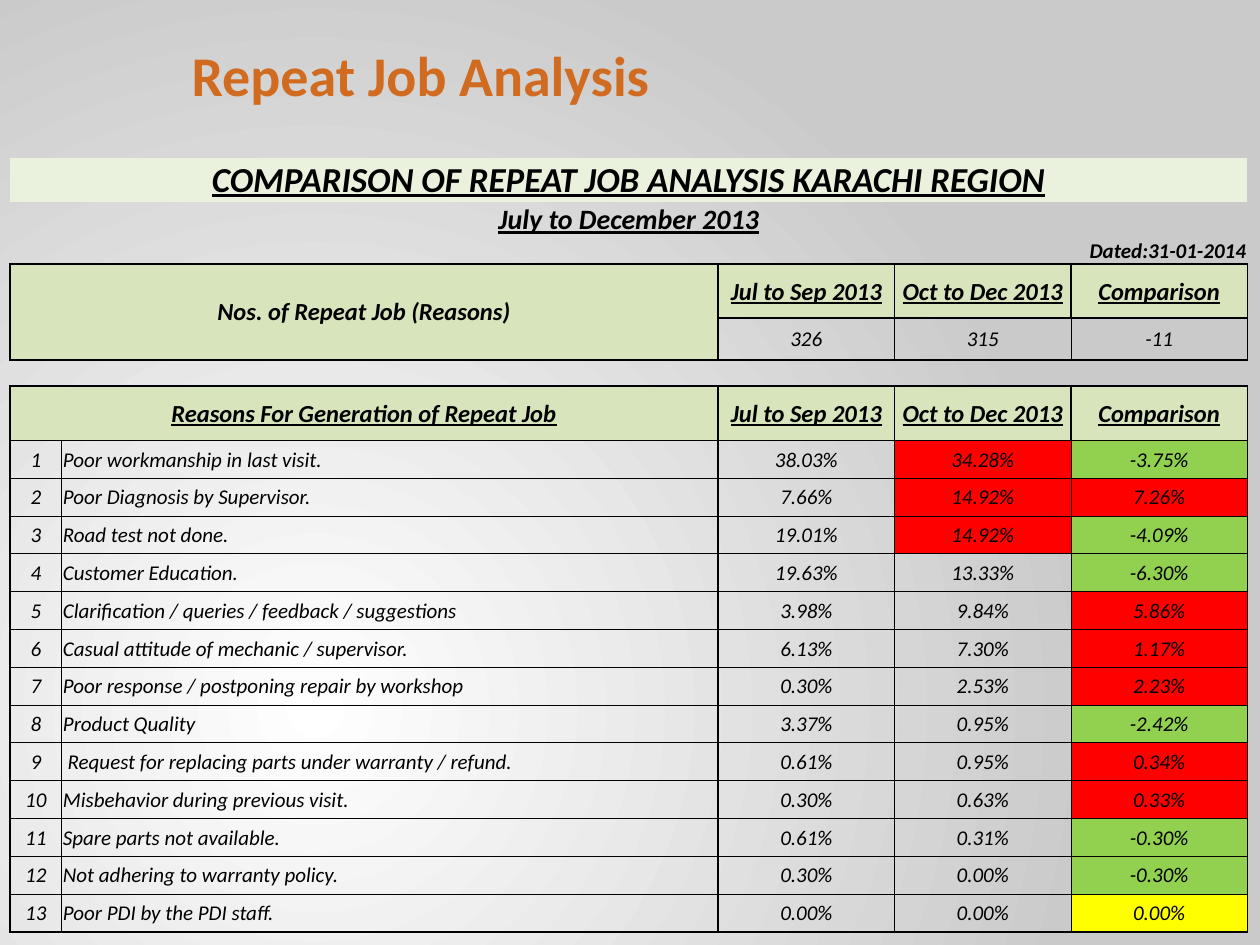
from lxml import etree
from pptx import Presentation
from pptx import util as u
from pptx.dml.color import RGBColor
from pptx.enum import text
from pptx.oxml import parse_xml
from pptx.oxml.ns import nsdecls, qn

COLORS = {
    "title": "D06B20", "ink": "000000", "banner": "EAF1DD", "header": "D7E4BC",
    "worse": "FF0000", "better": "92D050", "same": "FFFF00",
    "glow": "FFFFFF", "edge": "CACACA",
}
FONT = "Calibri"
COLUMNS = [0.41, 5.21, 1.4, 1.4, 1.4]
TOP_ROWS = [0.35, 0.28, 0.21, 0.43, 0.33, 0.21, 0.43]
REASON_HEIGHT = 0.3
PERIODS = ["Jul to Sep 2013", "Oct to Dec 2013", "Comparison"]
TOTALS = ["326", "315", "-11"]
REASONS = [
    ("Poor workmanship in last visit.", "38.03%", "34.28%", "-3.75%"),
    ("Poor Diagnosis by Supervisor.", "7.66%", "14.92%", "7.26%"),
    ("Road test not done.", "19.01%", "14.92%", "-4.09%"),
    ("Customer Education.", "19.63%", "13.33%", "-6.30%"),
    ("Clarification / queries / feedback / suggestions", "3.98%", "9.84%", "5.86%"),
    ("Casual attitude of mechanic / supervisor.", "6.13%", "7.30%", "1.17%"),
    ("Poor response / postponing repair by workshop", "0.30%", "2.53%", "2.23%"),
    ("Product Quality", "3.37%", "0.95%", "-2.42%"),
    (" Request for replacing parts under warranty / refund.", "0.61%", "0.95%", "0.34%"),
    ("Misbehavior during previous visit.", "0.30%", "0.63%", "0.33%"),
    ("Spare parts not available.", "0.61%", "0.31%", "-0.30%"),
    ("Not adhering to warranty policy.", "0.30%", "0.00%", "-0.30%"),
    ("Poor PDI by the PDI staff.", "0.00%", "0.00%", "0.00%"),
]
FIRST_REASON = len(TOP_ROWS)
LAST_ROW = FIRST_REASON + len(REASONS) - 1
TOP_REASONS = 3  # leading causes flagged in the latest period
NO_STYLE = "{2D5ABB26-0587-4C30-8999-92F81FD0307C}"
ALIGN = text.PP_ALIGN


def color(name):
    return RGBColor.from_string(COLORS[name])


def set_background(page):
    page.element.cSld.insert(0, parse_xml(
        f'<p:bg {nsdecls("p", "a")}><p:bgPr><a:gradFill rotWithShape="1"><a:gsLst>'
        f'<a:gs pos="0"><a:srgbClr val="{COLORS["glow"]}"/></a:gs>'
        f'<a:gs pos="100000"><a:srgbClr val="{COLORS["edge"]}"/></a:gs></a:gsLst>'
        '<a:path path="circle"><a:fillToRect l="50000" t="100000" r="100000" b="50000"/>'
        '</a:path></a:gradFill><a:effectLst/></p:bgPr></p:bg>'))


def style_font(font, size, ink="ink", bold=False, italic=False, underline=False):
    font.name, font.size = FONT, u.Pt(size)
    font.bold, font.italic, font.underline = bold, italic, underline
    font.color.rgb = color(ink)


def add_title(page, wording):
    title = page.shapes.title
    title.left, title.top = u.Inches(1.42), u.Inches(0.25)
    title.width, title.height = u.Inches(4.42), u.Inches(0.67)
    frame = title.text_frame
    frame.text = wording
    frame.word_wrap = True
    frame.vertical_anchor = text.MSO_ANCHOR.MIDDLE
    para = frame.paragraphs[0]
    para.alignment = ALIGN.LEFT
    style_font(para.font, 32, "title", bold=True)


def add_grid(page):
    heights = TOP_ROWS + [REASON_HEIGHT] * len(REASONS)
    frame = page.shapes.add_table(
        len(heights), len(COLUMNS), u.Inches(0.08), u.Inches(1.25),
        u.Inches(sum(COLUMNS)), u.Inches(sum(heights)))
    table = frame.table
    table.first_row = table.horz_banding = False
    table._tbl.tblPr.find(qn("a:tableStyleId")).text = NO_STYLE
    for column, width in zip(table.columns, COLUMNS):
        column.width = u.Inches(width)
    for row, height in zip(table.rows, heights):
        row.height = u.Inches(height)
    for row in range(len(heights)):
        for column in range(len(COLUMNS)):
            fill_cell(table, row, column, size=8)
    return table


def fill_cell(table, row, column, wording="", size=12, fill=None,
              align=ALIGN.CENTER, bold=False, underline=False):
    cell = table.cell(row, column)
    cell.text = wording
    cell.vertical_anchor = text.MSO_ANCHOR.MIDDLE
    cell.margin_left = cell.margin_right = cell.margin_top = u.Inches(0.01)
    cell.margin_bottom = 0
    para = cell.text_frame.paragraphs[0]
    para.alignment = align
    style_font(para.font, size, bold=bold, italic=True, underline=underline)
    if fill:
        cell.fill.solid()
        cell.fill.fore_color.rgb = color(fill)
    else:
        cell.fill.background()


def merge(table, row, column, last_row, last_column):
    table.cell(row, column).merge(table.cell(last_row, last_column))


def border_widths(row, column):
    """Left, right, top and bottom line widths in points."""
    if row < 2:
        return 0, 0, 0, 0
    if row == 2:
        return 0, 0, 0, 1
    if row == 5:
        return 0, 0, 1, 1
    if row in (3, 6) or (row == 4 and column < 2):
        return 1, 1, 1, 1
    return (1 if column in (0, 2) else 0.5,
            1 if column in (1, 4) else 0.5,
            1 if row in (4, FIRST_REASON) else 0.5,
            1 if row in (4, LAST_ROW) else 0.5)


def draw_borders(table):
    for row in range(LAST_ROW + 1):
        for column in range(len(COLUMNS)):
            properties = table.cell(row, column)._tc.get_or_add_tcPr()
            for place, (side, width) in enumerate(zip("LRTB", border_widths(row, column))):
                line = etree.Element(qn(f"a:ln{side}"), w=str(int(u.Pt(width))))
                if width:
                    paint = etree.SubElement(line, qn("a:solidFill"))
                    etree.SubElement(paint, qn("a:srgbClr"), val=COLORS["ink"])
                else:
                    etree.SubElement(line, qn("a:noFill"))
                properties.insert(place, line)


def change_fill(change):
    value = float(change.rstrip("%"))
    return "worse" if value > 0 else "better" if value < 0 else "same"


def add_headings(table):
    # Banner, period and date
    merge(table, 0, 0, 0, 4)
    merge(table, 1, 0, 1, 4)
    merge(table, 2, 0, 2, 1)
    merge(table, 2, 3, 2, 4)
    fill_cell(table, 0, 0, "COMPARISON OF REPEAT JOB ANALYSIS KARACHI REGION", 20,
              "banner", bold=True, underline=True)
    fill_cell(table, 1, 0, "July to December 2013", 16, bold=True, underline=True)
    fill_cell(table, 2, 3, "Dated:31-01-2014", align=ALIGN.RIGHT, bold=True)

    # Header rows and totals
    merge(table, 3, 0, 4, 1)
    merge(table, 6, 0, 6, 1)
    fill_cell(table, 3, 0, "Nos. of Repeat Job (Reasons)", 14, "header", bold=True)
    fill_cell(table, 6, 0, "Reasons For Generation of Repeat Job", 14, "header",
              bold=True, underline=True)
    for column, (period, total) in enumerate(zip(PERIODS, TOTALS), start=2):
        for row in (3, 6):
            fill_cell(table, row, column, period, 14, "header", bold=True, underline=True)
        fill_cell(table, 4, column, total)


def add_reasons(table):
    for index, (reason, before, after, change) in enumerate(REASONS):
        row = FIRST_REASON + index
        fill_cell(table, row, 0, str(index + 1))
        fill_cell(table, row, 1, reason, align=ALIGN.LEFT)
        fill_cell(table, row, 2, before)
        fill_cell(table, row, 3, after, fill="worse" if index < TOP_REASONS else None)
        fill_cell(table, row, 4, change, fill=change_fill(change))


def main():
    deck = Presentation()
    deck.slide_width, deck.slide_height = u.Inches(10), u.Inches(7.5)
    page = deck.slides.add_slide(deck.slide_layouts[5])
    set_background(page)
    table = add_grid(page)
    add_headings(table)
    add_reasons(table)
    draw_borders(table)
    add_title(page, "Repeat Job Analysis")
    deck.save("out.pptx")


if __name__ == "__main__":
    main()
